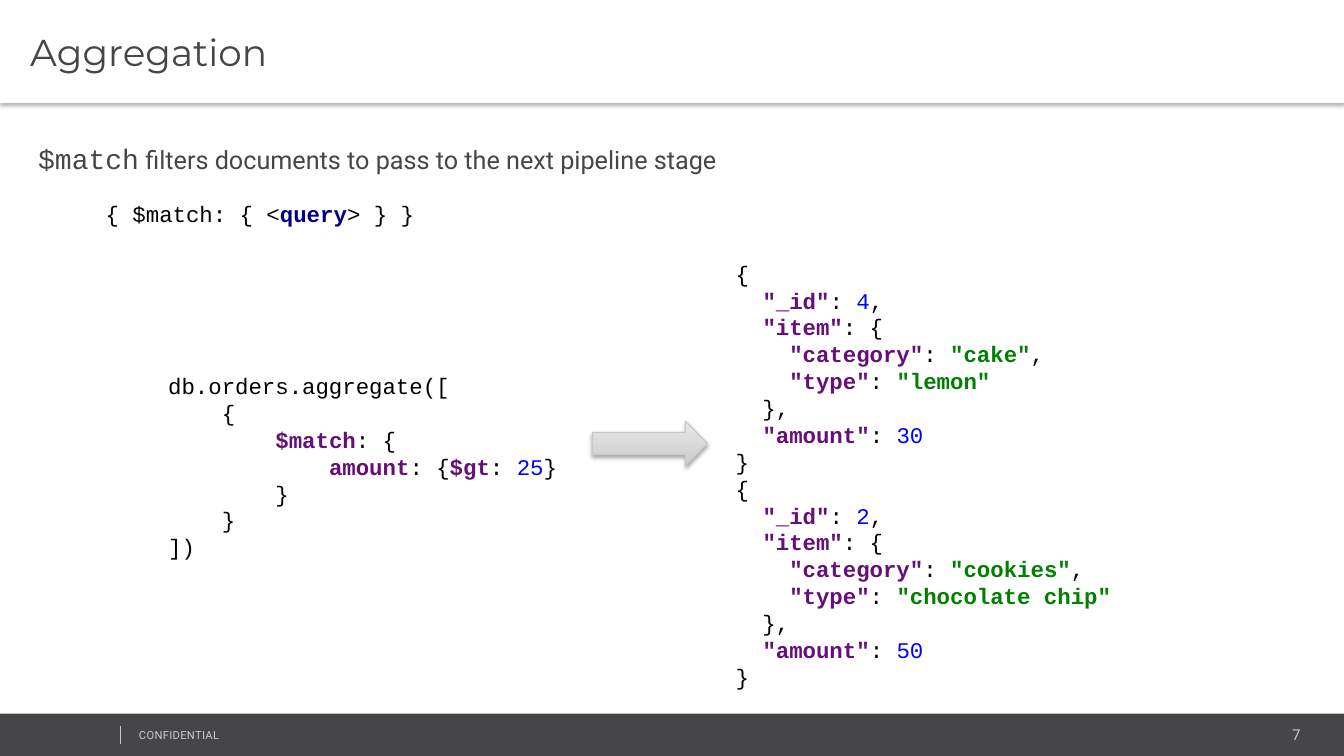
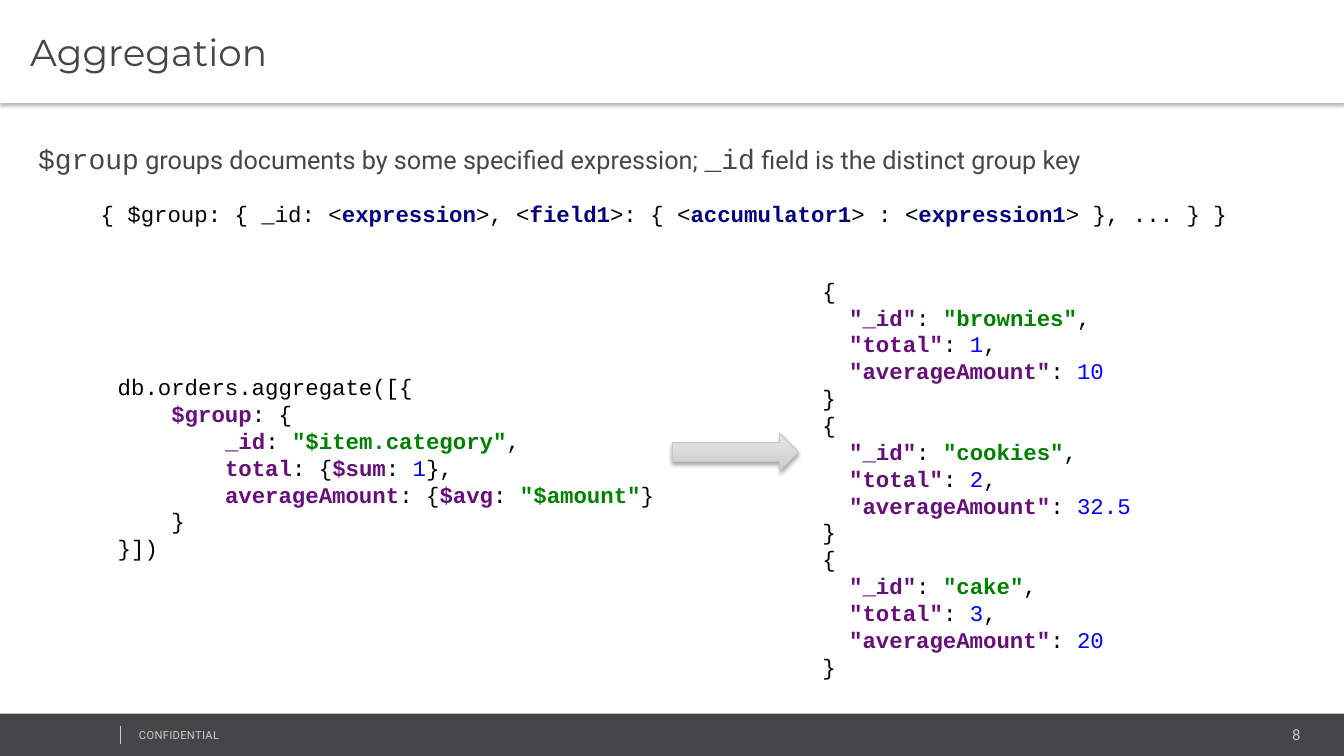
from dataclasses import dataclass

from lxml import etree
from pptx import Presentation
from pptx.dml.color import RGBColor
from pptx.enum.shapes import MSO_CONNECTOR, MSO_SHAPE
from pptx.enum.text import MSO_ANCHOR, MSO_AUTO_SIZE, PP_ALIGN
from pptx.oxml.ns import qn
from pptx.util import Inches, Pt

RECTANGLE = MSO_SHAPE.RECTANGLE
RIGHT_ARROW = MSO_SHAPE.RIGHT_ARROW
STRAIGHT = MSO_CONNECTOR.STRAIGHT
TOP, MIDDLE = MSO_ANCHOR.TOP, MSO_ANCHOR.MIDDLE
LEFT, RIGHT = PP_ALIGN.LEFT, PP_ALIGN.RIGHT
FIXED, GROW = MSO_AUTO_SIZE.NONE, MSO_AUTO_SIZE.SHAPE_TO_FIT_TEXT


@dataclass(frozen=True)
class TextStyle:
    """Character format of a run."""

    font: str
    size: float
    color: str
    bold: bool = False
    spacing: float = 0


@dataclass(frozen=True)
class Theme:
    """Colours and type styles shared by the slides."""

    width: float = 40 / 3
    height: float = 7.5
    dark: str = "464547"
    white: str = "FFFFFF"
    pale: str = "CCCCCC"
    arrow_light: str = "E7E7E7"
    arrow_line: str = "C8C8C8"
    shadow: str = "000000"
    title: TextStyle = TextStyle("Montserrat", 26.7, "464547")
    lead: TextStyle = TextStyle("Roboto", 18, "464547")
    lead_code: TextStyle = TextStyle("Courier New", 20, "464547")
    page: TextStyle = TextStyle("Roboto", 10.7, "CCCCCC")
    notice: TextStyle = TextStyle("Roboto", 8, "CCCCCC", spacing=0.2)
    plain: TextStyle = TextStyle("Courier New", 16, "000000")
    slot: TextStyle = TextStyle("Courier New", 16, "000080", True)
    key: TextStyle = TextStyle("Courier New", 16, "660E7A", True)
    string: TextStyle = TextStyle("Courier New", 16, "008000", True)
    number: TextStyle = TextStyle("Courier New", 16, "0000FF")
    code_line: float = 0.27
    code_padding: float = 0.1


THEME = Theme()


def rgb(color):
    """Return the colour object of a hex value."""
    return RGBColor.from_string(color)


def write_text(shape, runs, anchor=TOP, align=LEFT, margins=(0.1, 0.05, 0.1, 0.05), wrap=True, fit=GROW):
    """Write (text, style) runs into a shape, a paragraph for each line."""
    frame = shape.text_frame
    frame.word_wrap = wrap
    frame.auto_size = fit
    frame.vertical_anchor = anchor
    frame.margin_left, frame.margin_top, frame.margin_right, frame.margin_bottom = map(Inches, margins)
    paragraph = frame.paragraphs[0]
    paragraph.alignment = align
    for text, style in runs:
        for index, piece in enumerate(text.split("\n")):
            if index:
                paragraph = frame.add_paragraph()
                paragraph.alignment = align
            if piece:
                run = paragraph.add_run()
                run.text = piece
                run.font.name = style.font
                run.font.size = Pt(style.size)
                run.font.bold = style.bold
                run.font.color.rgb = rgb(style.color)
                if style.spacing:
                    run.font._element.set("spc", str(round(style.spacing * 100)))


def add_text(slide, box, runs, **text_format):
    """Add a text box with formatted runs."""
    write_text(slide.shapes.add_textbox(*map(Inches, box)), runs, **text_format)


def add_panel(slide, box, color):
    """Add a plain filled rectangle."""
    shape = slide.shapes.add_shape(RECTANGLE, *map(Inches, box))
    shape.shadow.inherit = False
    shape.fill.solid()
    shape.fill.fore_color.rgb = rgb(color)
    shape.line.fill.background()
    return shape


def add_drop_shadow(shape, opacity, distance):
    """Give a shape a soft shadow straight below it."""
    shape.shadow.inherit = False
    effects = shape._element.spPr.find(qn("a:effectLst"))
    shadow = etree.SubElement(
        effects, qn("a:outerShdw"), blurRad=str(Pt(3.1)), dist=str(Pt(distance)),
        dir="5400000", algn="t", rotWithShape="0")
    color = etree.SubElement(shadow, qn("a:srgbClr"), val=THEME.shadow)
    etree.SubElement(color, qn("a:alpha"), val=str(opacity * 1000))


def add_footer(slide, box, page):
    """Add the dark band with its divider, notice and page number."""
    left, top, width, height = box
    add_panel(slide, box, THEME.dark)
    add_text(slide, (left + 10.82, top + 0.07, 2.18, 0.28), [(str(page), THEME.page)], align=RIGHT)
    add_text(slide, (left + 1.28, top + 0.1, 3.38, 0.24), [("CONFIDENTIAL", THEME.notice)])
    divider = slide.shapes.add_connector(
        STRAIGHT, *map(Inches, (left + 1.19, top + 0.12, left + 1.19, top + 0.3)))
    divider.line.color.rgb = rgb(THEME.pale)
    divider.line.width = Pt(0.25)
    etree.SubElement(divider._element.spPr, qn("a:effectLst"))


def add_header(slide, box, title):
    """Add the white title band with its shadow."""
    band = add_panel(slide, box, THEME.white)
    add_drop_shadow(band, 30, 2)
    write_text(band, [(title, THEME.title)], anchor=MIDDLE, margins=(0.3, 0.04, 0.07, 0.04), fit=FIXED)


def add_code(slide, position, width, runs):
    """Add a code block whose height follows its number of lines."""
    lines = 1 + sum(text.count("\n") for text, _ in runs)
    height = lines * THEME.code_line + THEME.code_padding
    panel = add_panel(slide, (*position, width, height), THEME.white)
    write_text(panel, runs, anchor=MIDDLE, wrap=False)


def add_arrow(slide, box):
    """Add the grey arrow from the query to its result."""
    arrow = slide.shapes.add_shape(RIGHT_ARROW, *map(Inches, box))
    arrow.fill.gradient()
    arrow.fill.gradient_angle = 90
    for stop, color in zip(arrow.fill.gradient_stops, (THEME.pale, THEME.arrow_light)):
        stop.color.rgb = rgb(color)
    arrow.line.color.rgb = rgb(THEME.arrow_line)
    arrow.line.width = Pt(0.75)
    add_drop_shadow(arrow, 35, 1.8)


def code_runs(*parts):
    """Turn strings into plain runs and leave styled pairs as they are."""
    return [(part, THEME.plain) if isinstance(part, str) else part for part in parts]


def key(text):
    """Return a run for a key or operator."""
    return text, THEME.key


def slot(text):
    """Return a run for a placeholder word in a syntax line."""
    return text, THEME.slot


def string(text):
    """Return a run for a quoted string."""
    return f'"{text}"', THEME.string


def number(value):
    """Return a run for a number."""
    return str(value), THEME.number


def record_parts(record, indent=""):
    """Return the parts of a record laid out as indented JSON."""
    inner = indent + "  "
    parts = ["{\n"]
    for index, (name, value) in enumerate(record.items()):
        parts += [(",\n" if index else "") + inner, key(f'"{name}"'), ": "]
        if isinstance(value, dict):
            parts += record_parts(value, inner)
        else:
            parts.append(string(value) if isinstance(value, str) else number(value))
    return parts + ["\n" + indent + "}"]


def result_runs(records):
    """Return the runs of records set one below the other."""
    parts = []
    for index, record in enumerate(records):
        parts += (["\n"] if index else []) + record_parts(record)
    return code_runs(*parts)


def add_stage_slide(presentation, page, lead_width, lead, syntax, query, arrow, result):
    """Add a slide that explains one aggregation stage."""
    slide = presentation.slides.add_slide(presentation.slide_layouts[6])
    add_footer(slide, (0, 7.08, THEME.width, 0.42), page)
    add_header(slide, (0, 0, THEME.width, 1.02), "Aggregation")
    add_text(slide, (0.28, 1.35, lead_width, 0.44), lead, wrap=False)
    for block in (syntax, query, result):
        add_code(slide, *block)
    add_arrow(slide, arrow)


def add_match_slide(presentation):
    """Add the slide on the $match stage."""
    records = [
        {"_id": 4, "item": {"category": "cake", "type": "lemon"}, "amount": 30},
        {"_id": 2, "item": {"category": "cookies", "type": "chocolate chip"}, "amount": 50},
    ]
    query = code_runs(
        "db.orders.aggregate([\n    {\n        ", key("$match"), ": {\n            ",
        key("amount"), ": {", key("$gt"), ": ", number(25), "}\n        }\n    }\n])")
    add_stage_slide(
        presentation, 7,
        lead_width=7.11,
        lead=[("$match", THEME.lead_code),
              (" filters documents to pass to the next pipeline stage", THEME.lead)],
        syntax=((0.95, 1.93), 3.31, code_runs("{ $match: { <", slot("query"), "> } }")),
        query=((1.57, 3.63), 4.12, query),
        arrow=(5.88, 4.18, 1.14, 0.44),
        result=((7.2, 2.5), 3.98, result_runs(records)))


def add_group_slide(presentation):
    """Add the slide on the $group stage."""
    totals = [("brownies", 1, 10), ("cookies", 2, 32.5), ("cake", 3, 20)]
    records = [dict(zip(("_id", "total", "averageAmount"), row)) for row in totals]
    syntax = code_runs(
        "{ $group: { _id: <", slot("expression"), ">, <", slot("field1"), ">: { <",
        slot("accumulator1"), "> : <", slot("expression1"), "> }, ... } }")
    query = code_runs(
        "db.orders.aggregate([{\n    ", key("$group"), ": {\n        ",
        key("_id"), ": ", string("$item.category"), ",\n        ",
        key("total"), ": {", key("$sum"), ": ", number(1), "},\n        ",
        key("averageAmount"), ": {", key("$avg"), ": ", string("$amount"), "}\n    }\n}])")
    add_stage_slide(
        presentation, 8,
        lead_width=10.64,
        lead=[("$group", THEME.lead_code),
              (" groups documents by some specified expression; ", THEME.lead),
              ("_id", THEME.lead_code),
              (" field is the distinct group key", THEME.lead)],
        syntax=((0.9, 1.93), 11.54, syntax),
        query=((1.07, 3.64), 5.6, query),
        arrow=(6.67, 4.3, 1.25, 0.37),
        result=((8.06, 2.67), 3.31, result_runs(records)))


def main():
    """Build and save the presentation."""
    presentation = Presentation()
    presentation.slide_width = Inches(THEME.width)
    presentation.slide_height = Inches(THEME.height)
    add_match_slide(presentation)
    add_group_slide(presentation)
    presentation.save("out.pptx")


if __name__ == "__main__":
    main()
